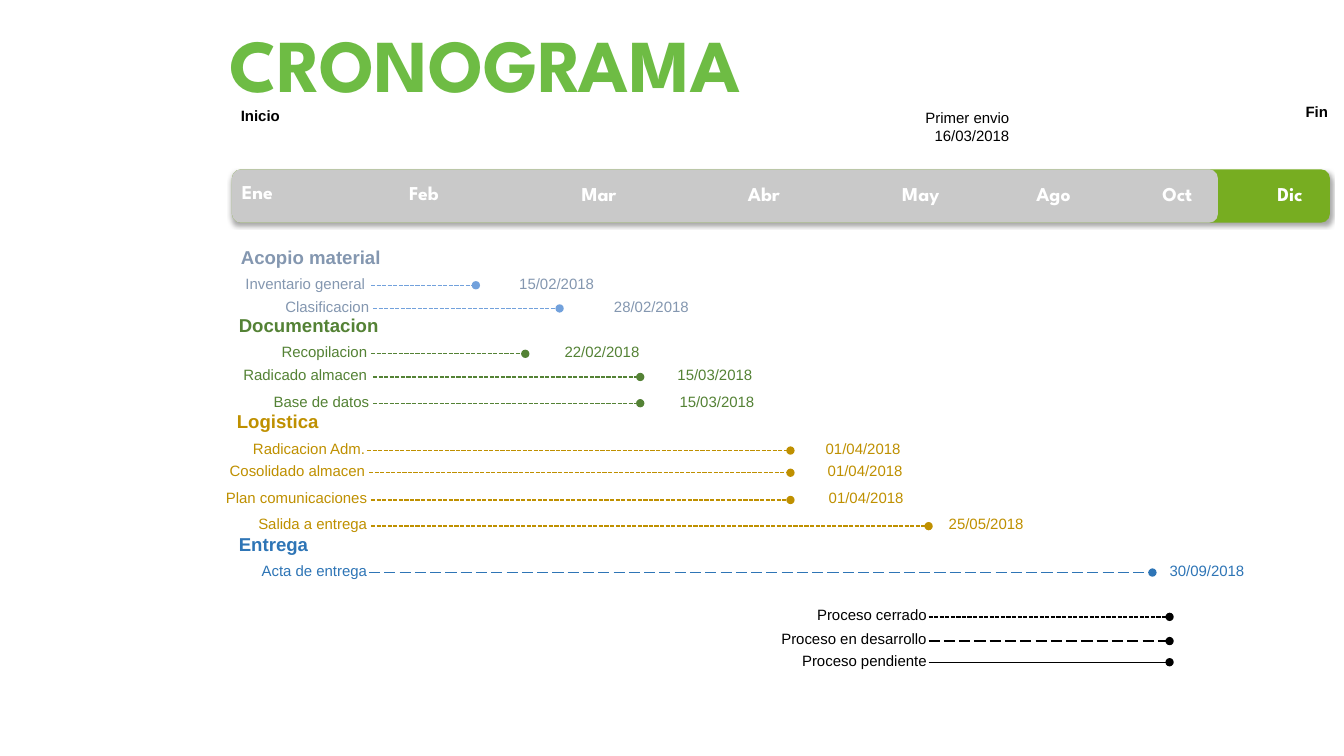
from dataclasses import dataclass
from typing import Optional

from lxml import etree
from pptx import Presentation, util as u
from pptx.dml.color import RGBColor
from pptx.enum import dml, shapes, text
from pptx.oxml.ns import qn

COLUMN = u.Inches(0.1)
ROW = u.Inches(0.1)
COLORS = {
    "title": "6EBC44", "bar": "77AD21", "elapsed": "C9C9C9", "white": "FFFFFF",
    "black": "000000", "slate": "8497B0", "sky": "72A1DC", "green": "548235",
    "gold": "BF9000", "blue": "2E75B6",
}
LEFT, RIGHT = text.PP_ALIGN.LEFT, text.PP_ALIGN.RIGHT
CLOSED, ACTIVE = dml.MSO_LINE.SQUARE_DOT, dml.MSO_LINE.LONG_DASH
LABEL_WIDTH, DATE_WIDTH, LABEL_HEIGHT = 18.9, 10.5, 2.8
LINE_DROP = 1.6


@dataclass
class Label:
    words: str
    left: float
    top: float
    width: float
    height: float = LABEL_HEIGHT
    color: str = "black"
    size: float = 10.7
    font: str = "Arial"
    bold: bool = False
    align: text.PP_ALIGN = LEFT


@dataclass
class Task:
    name: str
    right: float
    top: float
    start: float
    end: float
    date: str = ""
    date_left: float = 0
    dash: Optional[dml.MSO_LINE] = CLOSED


@dataclass
class Group:
    color: str
    line_color: str
    tasks: list[Task]
    title: str = ""
    left: float = 0
    top: float = 0


@dataclass
class Month:
    name: str
    left: float
    top: float = 17.6


MONTHS = [
    Month("Ene", 23, 17.4), Month("Feb", 39.6, 17.5), Month("Mar", 56.7),
    Month("Abr", 73.2), Month("May", 88.5), Month("Ago", 101.8),
    Month("Oct", 114.3), Month("Dic", 125.7),
]
MILESTONES = [
    Label("Inicio", 22.9, 10.1, 14, bold=True),
    Label("Fin", 127.4, 9.7, 5.3, bold=True, align=RIGHT),
    Label("Primer envio\n16/03/2018", 87.1, 10.3, 14, 4.6, align=RIGHT),
]
GROUPS = [
    Group("slate", "sky", [
        Task("Inventario general", 37.2, 26.7, 36.8, 47.2, "15/02/2018", 49.4),
        Task("Clasificacion", 37.6, 29, 37, 55.5, "28/02/2018", 58.8),
    ], "Acopio material", 22.9, 23.9),
    Group("green", "green", [
        Task("Recopilacion", 37.4, 33.5, 36.8, 52.1, "22/02/2018", 53.9),
        Task("Radicado almacen", 37.4, 35.8, 37, 63.5, "15/03/2018", 65.1),
        Task("Base de datos", 37.6, 38.4, 37, 63.5, "15/03/2018", 65.3),
    ], "Documentacion", 22.7, 30.7),
    Group("gold", "gold", [
        Task("Radicacion Adm.", 37.2, 43.1, 36.4, 78.4, "01/04/2018", 79.8),
        Task("Cosolidado almacen", 37.2, 45.3, 36.6, 78.4, "01/04/2018", 80),
        Task("Plan comunicaciones", 37.4, 48, 36.8, 78.4, "01/04/2018", 80.1),
        Task("Salida a entrega", 37.4, 50.6, 36.8, 92.1, "25/05/2018", 92),
    ], "Logistica", 22.5, 40.2),
    Group("blue", "blue", [
        Task("Acta de entrega", 37.4, 55.2, 36.6, 114.3, "30/09/2018", 113.9, ACTIVE),
    ], "Entrega", 22.7, 52.4),
    Group("black", "black", [
        Task("Proceso cerrado", 92.9, 59.6, 92.1, 116),
        Task("Proceso en desarrollo", 92.9, 62, 92.1, 116, dash=ACTIVE),
        Task("Proceso pendiente", 92.9, 64.1, 92.1, 116, dash=None),
    ]),
]


def x(columns: float) -> int:
    return round(columns * COLUMN)


def y(rows: float) -> int:
    return round(rows * ROW)


def rgb(name: str) -> RGBColor:
    return RGBColor.from_string(COLORS[name])


def effect_list(blur: float, distance: float, angle: int, opacity: int):
    effects = etree.Element(qn("a:effectLst"))
    shadow = etree.SubElement(
        effects, qn("a:outerShdw"), blurRad=str(u.Pt(blur)), dist=str(u.Pt(distance)),
        dir=str(angle * 60000), algn="t", rotWithShape="0")
    color = etree.SubElement(shadow, qn("a:srgbClr"), val=COLORS["black"])
    etree.SubElement(color, qn("a:alpha"), val=str(opacity * 1000))
    return effects


def write(sp, label: Label) -> None:
    sp.left, sp.top = x(label.left), y(label.top)
    sp.width, sp.height = x(label.width), y(label.height)
    tf = sp.text_frame
    tf.word_wrap = True
    tf.auto_size = text.MSO_AUTO_SIZE.SHAPE_TO_FIT_TEXT
    tf.text = label.words
    formats = {"size": u.Pt(label.size), "name": label.font, "bold": label.bold}
    for p in tf.paragraphs:
        p.alignment = label.align
        for r in p.runs:
            r.font.color.rgb = rgb(label.color)
            for key, value in formats.items():
                setattr(r.font, key, value)


def add_label(s, label: Label):
    sp = s.shapes.add_textbox(0, 0, COLUMN, ROW)
    write(sp, label)
    return sp


def add_bar(s, width: float, color: str):
    sp = s.shapes.add_shape(
        shapes.MSO_SHAPE.ROUNDED_RECTANGLE, x(23), y(16.8), x(width), y(5.3))
    sp.shadow.inherit = False
    sp.fill.solid()
    sp.fill.fore_color.rgb = rgb(color)
    sp.line.fill.background()
    return sp


def add_month(s, month: Month) -> None:
    sp = add_label(s, Label(month.name, month.left, month.top, 7, 3.4,
                            "white", 14, "League Spartan", True))
    font = sp.text_frame.paragraphs[0].runs[0].font
    font.fill._xPr.find(qn("a:latin")).addprevious(effect_list(3, 3, 45, 43))


def add_task(s, task: Task, group: Group) -> None:
    add_label(s, Label(task.name, task.right - LABEL_WIDTH, task.top, LABEL_WIDTH,
                       color=group.color, align=RIGHT))
    if task.date:
        add_label(s, Label(task.date, task.date_left, task.top, DATE_WIDTH,
                           color=group.color, align=RIGHT))
    level = y(task.top + LINE_DROP)
    line = s.shapes.add_connector(
        shapes.MSO_CONNECTOR.STRAIGHT, x(task.start), level, x(task.end), level)
    line.line.color.rgb = rgb(group.line_color)
    line.line.width = u.Pt(1)
    if task.dash is not None:
        line.line.dash_style = task.dash
    etree.SubElement(line.line._get_or_add_ln(), qn("a:tailEnd"), type="oval")
    etree.SubElement(line._element.spPr, qn("a:effectLst"))


def main() -> None:
    prs = Presentation()
    prs.slide_width, prs.slide_height = u.Inches(13.33), u.Inches(7.5)
    s = prs.slides.add_slide(prs.slide_layouts[5])
    title = s.shapes.title
    write(title, Label("CRONOGRAMA", 21.8, 2.2, 73, 9.1, "title", 53.3,
                       "League Spartan", True))
    title.text_frame.vertical_anchor = text.MSO_ANCHOR.MIDDLE
    title.text_frame.paragraphs[0].line_spacing = 0.9
    bar = add_bar(s, 108.9, "bar")
    properties = bar._element.spPr
    properties.replace(properties.find(qn("a:effectLst")), effect_list(3.1, 1.8, 90, 35))
    add_bar(s, 97.8, "elapsed")
    for month in MONTHS:
        add_month(s, month)
    for label in MILESTONES:
        add_label(s, label)
    for group in GROUPS:
        if group.title:
            add_label(s, Label(group.title, group.left, group.top, LABEL_WIDTH, 3.3,
                               group.color, 13.3, bold=True))
        for task in group.tasks:
            add_task(s, task, group)
    prs.save("out.pptx")


if __name__ == "__main__":
    main()
